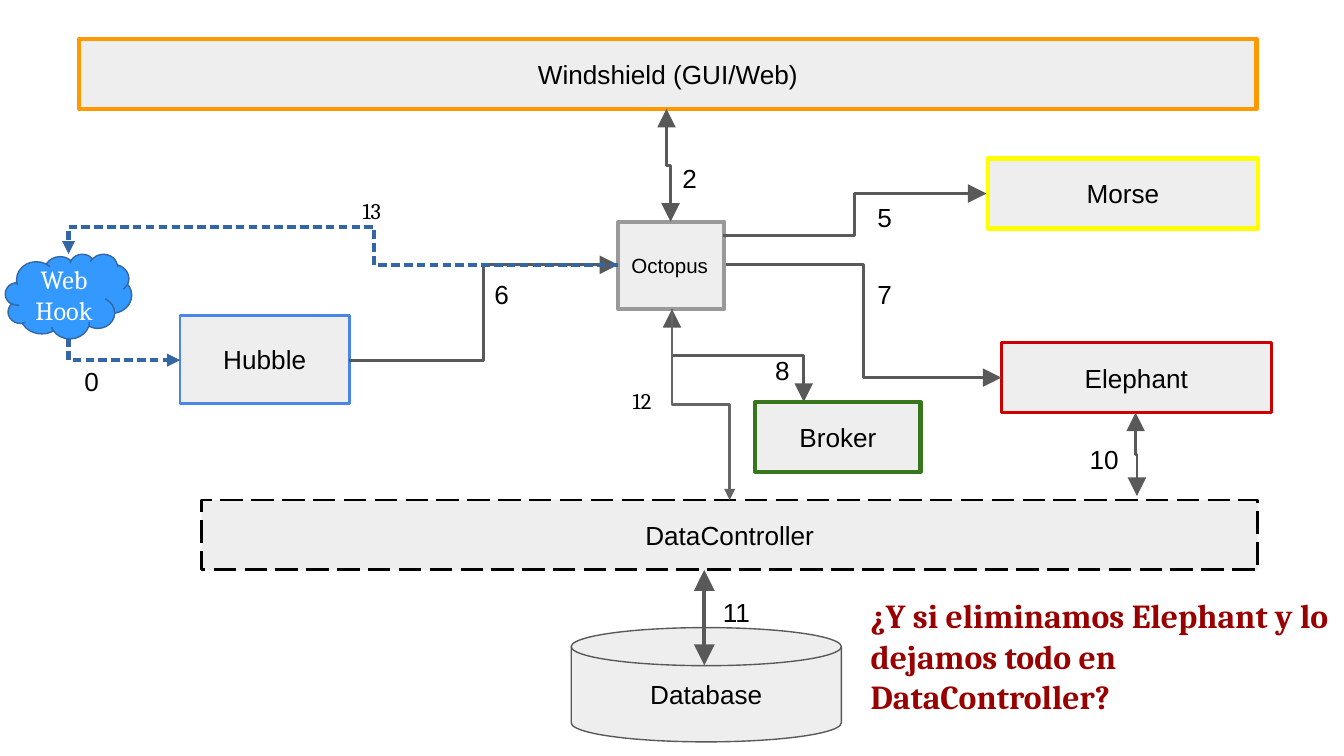
import pptx
import pptx.util
import pptx.dml.color
import pptx.enum.dml
import pptx.enum.shapes
import pptx.enum.text
import pptx.oxml.ns
from lxml import etree
from pptx.util import Inches

COLORS = {
    "panel": "EEEEEE", "black": "000000", "white": "FFFFFF",
    "blue": "4A86E8", "yellow": "FFFF00", "red": "CC0000", "green": "38761D",
    "orange": "FF9900", "gray": "999999", "wire": "595959", "light wire": "666666",
    "hook": "3399FF", "hook wire": "3465A4", "question": "990000",
}
SHAPES = pptx.enum.shapes.MSO_SHAPE
ALIGN = pptx.enum.text.PP_ALIGN
ANCHOR = pptx.enum.text.MSO_ANCHOR
qn = pptx.oxml.ns.qn

# text, left, top, width, height, line colour, line width
BLOCKS = [
    ("Hubble", 1.34, 2.35, 1.26, 0.65, "blue", 1.5),
    ("Morse", 7.35, 1.18, 2.01, 0.52, "yellow", 2.25),
    ("Elephant", 7.45, 2.55, 2.01, 0.52, "red", 1.5),
    ("Database", 4.25, 4.67, 2.01, 0.85, "wire", 0.75),
    ("DataController", 1.5, 3.72, 7.86, 0.52, "black", 1.5),
    ("Broker", 5.62, 2.99, 1.23, 0.52, "green", 2.25),
    ("Windshield (GUI/Web)", 0.59, 0.29, 8.76, 0.52, "orange", 2.25),
    ("Octopus", 4.6, 1.65, 0.79, 0.65, "gray", 2.25),
]

# start, end, leaves vertically, arrow at both ends, line width, bend
WIRES = [
    ((5.24, 4.95), (5.24, 4.24), True, True, 2.25, 0.303),
    ((2.6, 2.68), (4.6, 1.97), False, False, 1.5, 0.5),
    ((5, 2.3), (5.98, 2.99), True, True, 1.5, 0.5),
    ((4.99, 1.65), (4.96, 0.81), True, True, 1.5, 0.5),
    ((5.4, 1.97), (7.45, 2.81), False, False, 1.5, 0.5),
    ((5.38, 1.75), (7.34, 1.44), False, False, 1.5, 0.5),
    ((8.46, 3.69), (8.45, 3.07), True, True, 1.5, 0.5),
]

STEPS = [
    ("2", 4.98, 1.11), ("5", 6.43, 1.4), ("6", 3.58, 1.97), ("7", 6.43, 1.97),
    ("8", 5.67, 2.54), ("0", 0.53, 2.62), ("10", 8.01, 3.2), ("11", 5.28, 4.34),
]


def rgb(name):
    return pptx.dml.color.RGBColor.from_string(COLORS[name])


def write(shape, lines, size, font, color, align=ALIGN.LEFT, inset=0.1, bold=False):
    frame = shape.text_frame
    frame.margin_left = frame.margin_right = Inches(0.1)
    frame.margin_top = frame.margin_bottom = Inches(inset)
    frame.word_wrap = True
    frame.text = "\n".join(lines)
    for paragraph in frame.paragraphs:
        paragraph.alignment = align
        paragraph.font.size = pptx.util.Pt(size)
        paragraph.font.name = font
        paragraph.font.bold = bold
        paragraph.font.color.rgb = rgb(color)


def add_block(page, kind, place, fill, line, width):
    block = page.shapes.add_shape(kind, *map(Inches, place))
    block.shadow.inherit = False
    block.fill.solid()
    block.fill.fore_color.rgb = rgb(fill)
    block.line.color.rgb = rgb(line)
    block.line.width = pptx.util.Pt(width)
    block.text_frame.vertical_anchor = ANCHOR.MIDDLE
    return block


def add_label(page, text, place, size, font, color="black", inset=0.1, bold=False):
    box = page.shapes.add_textbox(*map(Inches, place))
    write(box, [text], size, font, color, inset=inset, bold=bold)


def add_wire(page, start, end, vertical, both, width, bends,
             color="wire", head="lg", dashed=False):
    """Elbow arrow; a vertical start is a horizontal elbow turned by 90 degrees."""
    across, down = end[0] - start[0], end[1] - start[1]
    wide, high = abs(across), abs(down)
    if vertical:
        wide, high = high, wide
        turn, flip = (270 if down > 0 else 90), True
    else:
        turn, flip = (0 if down > 0 else 180), across > 0 > down
    left = (start[0] + end[0] - wide) / 2
    top = (start[1] + end[1] - high) / 2
    wire = page.shapes.add_connector(
        pptx.enum.shapes.MSO_CONNECTOR.ELBOW,
        *map(Inches, (left, top, left + wide, top + high)))
    wire.line.color.rgb = rgb(color)
    wire.line.width = pptx.util.Pt(width)

    # Turn, bends, dashes, arrowheads and no shadow
    properties = wire._element.spPr
    frame = properties.find(qn("a:xfrm"))
    frame.set("rot", str(turn * 60000))
    if flip:
        frame.set("flipH", "1")
    geometry = properties.find(qn("a:prstGeom"))
    geometry.set("prst", f"bentConnector{len(bends) + 2}")
    guides = geometry.find(qn("a:avLst"))
    for number, bend in enumerate(bends, 1):
        etree.SubElement(guides, qn("a:gd"), name=f"adj{number}",
                         fmla=f"val {round(bend * 100000)}")
    outline = properties.find(qn("a:ln"))
    if dashed:
        dashes = etree.SubElement(outline, qn("a:custDash"))
        etree.SubElement(dashes, qn("a:ds"), d="200000", sp="100000")
    for tag in ("a:headEnd", "a:tailEnd") if both else ("a:tailEnd",):
        etree.SubElement(outline, qn(tag), type="triangle", w=head, len=head)
    etree.SubElement(properties, qn("a:effectLst"))


def main():
    deck = pptx.Presentation()
    deck.slide_width = Inches(10)
    deck.slide_height = deck.slide_width * 9 // 16
    page = deck.slides.add_slide(deck.slide_layouts[6])

    # Components
    for text, *place, line, width in BLOCKS:
        kind = SHAPES.FLOWCHART_MAGNETIC_DISK if text == "Database" else SHAPES.RECTANGLE
        block = add_block(page, kind, place, "panel", line, width)
        small = text == "Octopus"
        write(block, [text], 11 if small else 14, "Arial", "black",
              ALIGN.LEFT if small else ALIGN.CENTER)
        if text == "DataController":
            block.line.dash_style = pptx.enum.dml.MSO_LINE.LONG_DASH

    # Flows and their step numbers
    for *route, bend in WIRES:
        add_wire(page, *route, [bend])
    for text, left, top in STEPS:
        add_label(page, text, (left, top, 0.43, 0.4), 14, "Arial")

    # Web hook and its dashed flows
    cloud = add_block(page, SHAPES.CLOUD, (0.04, 1.89, 0.94, 0.63), "hook", "hook wire", 0)
    write(cloud, ["Web", "Hook"], 14, "Cambria", "white", ALIGN.CENTER, inset=0.05)
    cloud.text_frame.word_wrap = False
    for start, end, vertical, bends in [
        ((0.51, 2.52), (1.34, 2.68), True, []),
        ((4.6, 1.97), (0.51, 1.89), False, [0.444, 3.5]),
    ]:
        add_wire(page, start, end, vertical, False, 2.3, bends, "hook wire", "med", True)

    # Direct flow to the data controller
    add_wire(page, (5, 2.3), (5.43, 3.72), True, False, 1.5, [0.5], "light wire", "med")
    for text, left, top in [("12", 4.61, 2.83), ("13", 2.6, 1.42)]:
        add_label(page, text, (left, top, 0.47, 0.29), 12, "Cambria", inset=0.05)

    # Open question
    add_label(page, "¿Y si eliminamos Elephant y lo dejamos todo en DataController?",
              (6.38, 4.38, 3.62, 0.98), 18, "Cambria", "question", 0.05, True)

    deck.save("out.pptx")


if __name__ == "__main__":
    main()
